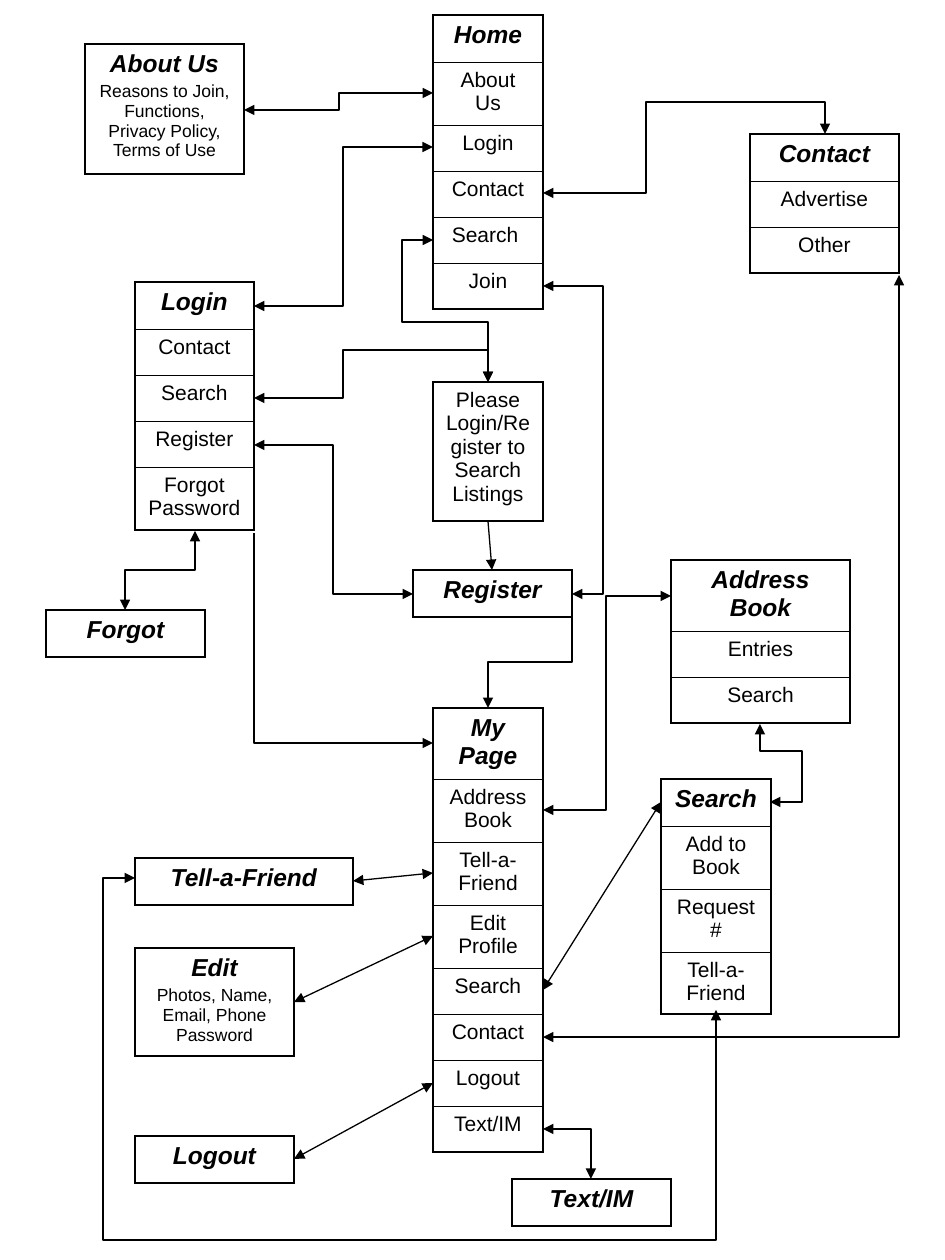
"""Build the site map slide: page tables linked by arrows."""
from lxml.etree import SubElement
from pptx import Presentation
from pptx.dml.color import RGBColor
from pptx.enum.shapes import MSO_CONNECTOR as CONN
from pptx.enum.text import PP_ALIGN as ALIGN
from pptx.oxml.ns import qn
from pptx.util import Pt

BLACK = "000000"
TITLE, ITEM, NOTE = 14, 12, 10


def px(n):
    return round(n * 914400 / 126)


def rgb(value):
    return RGBColor.from_string(value)


prs = Presentation()
prs.slide_width, prs.slide_height = px(945), px(1260)
s = prs.slides.add_slide(prs.slide_layouts[6])

menus = [
    (433, 15, 110, [("Home", 47), ("About Us", 63), ("Login", 46), ("Contact", 46),
                    ("Search ", 46), ("Join", 46)]),
    (750, 134, 149, [("Contact", 47), ("Advertise", 46), ("Other", 46)]),
    (135, 282, 119, [("Login", 47), ("Contact", 46), ("Search", 46), ("Register", 46),
                     ("Forgot Password", 63)]),
    (671, 560, 179, [("Address Book", 71), ("Entries", 46), ("Search", 46)]),
    (661, 779, 110, [("Search", 47), ("Add to Book", 63), ("Request #", 63),
                     ("Tell-a-Friend", 62)]),
    (433, 708, 110, [("My Page", 71), ("Address Book", 63), ("Tell-a-Friend", 63),
                     ("Edit Profile", 63), ("Search", 46), ("Contact", 46),
                     ("Logout", 46), ("Text/IM", 46)]),
]
boxes = [
    (433, 382, 110, 139, [("Please Login/Register to Search Listings", ITEM)]),
    (413, 570, 159, 47, [("Register", TITLE)]),
    (46, 610, 159, 47, [("Forgot", TITLE)]),
    (135, 1136, 159, 47, [("Logout", TITLE)]),
    (135, 858, 218, 47, [("Tell-a-Friend", TITLE)]),
    (135, 948, 159, 108, [("Edit", TITLE), ("Photos, Name, Email, Phone Password", NOTE)]),
    (512, 1179, 159, 47, [("Text/IM", TITLE)]),
    (85, 44, 159, 130, [("About Us", TITLE),
                        ("Reasons to Join, Functions, Privacy Policy, Terms of Use", NOTE)]),
]

tables = [(x, y, w, [(h, [(text, ITEM if i else TITLE)]) for i, (text, h) in enumerate(rows)])
          for x, y, w, rows in menus]
tables += [(x, y, w, [(h, paras)]) for x, y, w, h, paras in boxes]

for x, y, w, rows in tables:
    total = sum(h for h, paras in rows)
    table = s.shapes.add_table(len(rows), 1, px(x), px(y), px(w), px(total)).table
    table.first_row = table.horz_banding = False
    for i, (h, paras) in enumerate(rows):
        table.rows[i].height = px(h)
        cell = table.cell(i, 0)
        tc_pr = cell._tc.get_or_add_tcPr()
        top = 1.08 if i == 0 else 0.45
        bottom = 1.08 if i == len(rows) - 1 else 0.45
        for side, width in (("L", 1.08), ("R", 1.08), ("T", top), ("B", bottom)):
            ln = SubElement(tc_pr, qn(f"a:ln{side}"), w=str(Pt(width)))
            SubElement(SubElement(ln, qn("a:solidFill")), qn("a:srgbClr"), val=BLACK)
        cell.fill.background()
        tf = cell.text_frame
        for j, (text, size) in enumerate(paras):
            p = tf.add_paragraph() if j else tf.paragraphs[0]
            p.alignment = ALIGN.CENTER
            p.space_before = Pt(size / 4)
            r = p.add_run()
            r.text = text
            r.font.name, r.font.size = "Arial", Pt(size)
            r.font.bold = r.font.italic = size == TITLE
            r.font.color.rgb = rgb(BLACK)

both, end_only = ("headEnd", "tailEnd"), ("tailEnd",)
links = [
    (both, [(433, 240), (402, 240), (402, 322), (488, 322), (488, 382)]),
    (both, [(254, 398), (343, 398), (343, 350), (488, 350), (488, 382)]),
    (both, [(543, 193), (646, 193), (646, 102), (825, 102), (825, 134)]),
    (end_only, [(488, 521), (492, 570)]),
    (both, [(195, 531), (195, 570), (125, 570), (125, 610)]),
    (both, [(254, 445), (333, 445), (333, 594), (413, 594)]),
    (both, [(543, 286), (603, 286), (603, 594), (572, 594)]),
    (end_only, [(254, 533), (254, 743), (433, 743)]),
    (end_only, [(572, 618), (572, 662), (488, 662), (488, 708)]),
    (both, [(543, 810), (606, 810), (606, 596), (671, 596)]),
    (both, [(433, 873), (353, 881)]),
    (both, [(433, 936), (294, 1002)]),
    (both, [(433, 1083), (294, 1159)]),
    (both, [(760, 724), (760, 751), (802, 751), (802, 802), (770, 802)]),
    (both, [(543, 990), (661, 802)]),
    (both, [(716, 1010), (716, 1240), (103, 1240), (103, 878), (135, 878)]),
    (both, [(899, 275), (899, 1037), (543, 1037)]),
    (both, [(543, 1129), (591, 1129), (591, 1179)]),
    (both, [(244, 110), (339, 110), (339, 93), (433, 93)]),
    (both, [(433, 147), (343, 147), (343, 306), (254, 306)]),
]

for arrows, points in links:
    (x1, y1), (x2, y2) = points[0], points[-1]
    dx, dy = x2 - x1, y2 - y1
    bent = len(points) > 2
    upright = bent and points[1][0] == x1
    turn = 1 if dx < 0 < dy else -1
    du, dv = (turn * dy, -turn * dx) if upright else (dx, dy)
    cx, cy = (x1 + x2) / 2, (y1 + y2) / 2
    c = s.shapes.add_connector(CONN.ELBOW if bent else CONN.STRAIGHT, px(cx - du / 2),
                               px(cy - dv / 2), px(cx + du / 2), px(cy + dv / 2))
    c.line.color.rgb = rgb(BLACK)
    c.line.width = Pt(0.75)
    sp_pr = c._element.spPr
    if upright:
        sp_pr.find(qn("a:xfrm")).set("rot", str(turn * 5400000 % 21600000))
    if bent:
        geom = sp_pr.find(qn("a:prstGeom"))
        geom.set("prst", f"bentConnector{len(points) - 1}")
        guides = geom.find(qn("a:avLst"))
        for k, (x, y) in enumerate(points[1:-2], 1):
            across = (k % 2 == 1) != upright
            ratio = (x - x1) / dx if across else (points[k + 1][1] - y1) / dy
            if upright:
                ratio = (y - y1) / dy if k == 1 else (points[2][0] - x1) / dx
            elif k == 2:
                ratio = (points[3][1] - y1) / dy
            SubElement(guides, qn("a:gd"), name=f"adj{k}", fmla=f"val {round(ratio * 100000)}")
    for arrow in arrows:
        SubElement(c.line._get_or_add_ln(), qn(f"a:{arrow}"), type="triangle")
    SubElement(sp_pr, qn("a:effectLst"))

prs.save("out.pptx")
